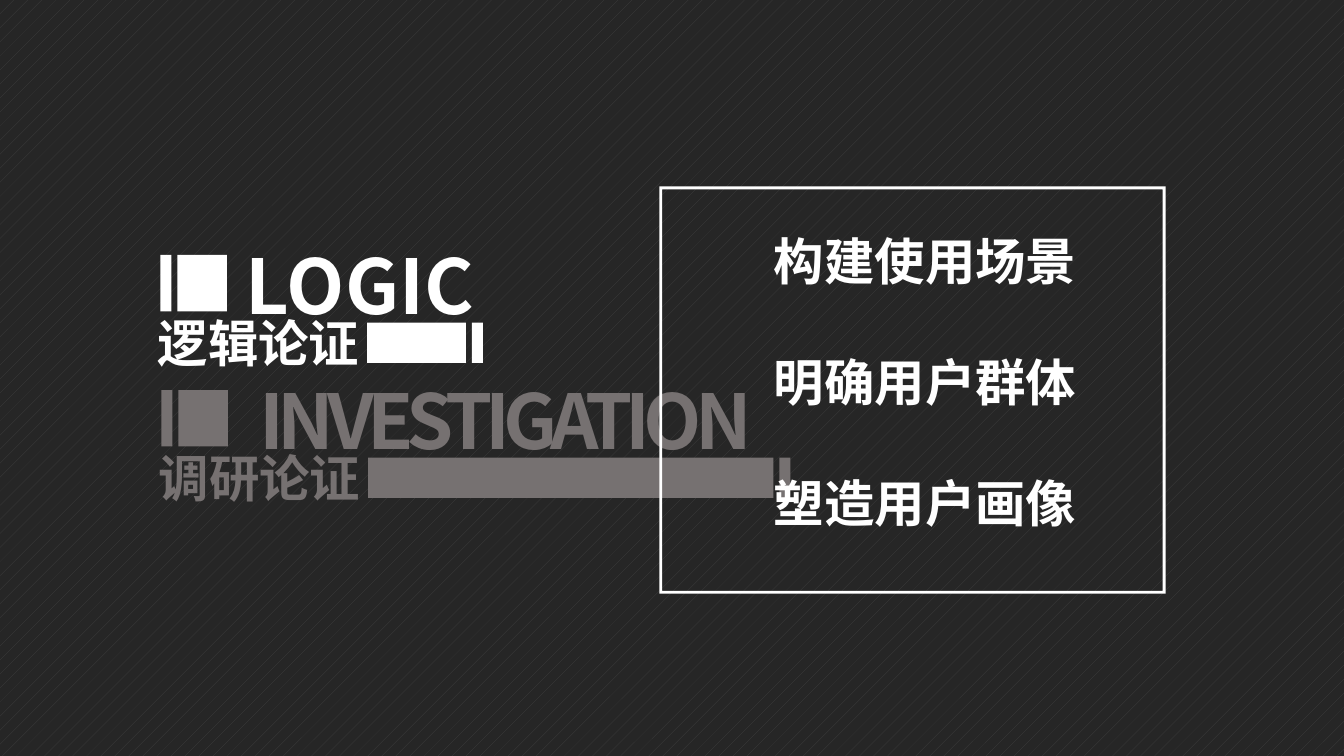
from lxml import etree
from pptx import Presentation
from pptx.dml.color import RGBColor
from pptx.enum.dml import MSO_PATTERN
from pptx.enum.shapes import MSO_SHAPE
from pptx.enum.text import PP_ALIGN
from pptx.oxml.ns import qn
from pptx.util import Inches, Pt

RECTANGLE, FRAME = MSO_SHAPE.RECTANGLE, MSO_SHAPE.FRAME
DOTS, CENTER = MSO_PATTERN.PERCENT_5, PP_ALIGN.CENTER
WHITE = RGBColor(0xFF, 0xFF, 0xFF)
GRAY = RGBColor(0x76, 0x71, 0x71)
CHARCOAL = RGBColor(0x26, 0x26, 0x26)
DARK_GRAY = RGBColor(0x40, 0x40, 0x40)
FONT = "Noto Sans CJK JP"

# Left and top of the marks, colour, title, its left, width and letter
# spacing (hundredths of a point), subtitle, width of the bar after it
HEADINGS = [
    (1.59, 2.53, WHITE, "LOGIC", 2.19, 2.76, 0, "逻辑论证", 0.98),
    (1.6, 3.87, GRAY, "INVESTIGATION", 2.09, 5.85, -500, "调研论证", 4.02),
]
STEPS = ["构建使用场景", "明确用户群体", "塑造用户画像"]
STEPS_BOX = (7.56, 2.23, 3.23, 3.13)
FRAME_BOX = (6.54, 1.85, 5.02, 4.04)
STRIPE = 0.11
LINE = Pt(43.5)


def add_block(shapes, preset, box, color):
    block = shapes.add_shape(preset, *map(Inches, box))
    block.shadow.inherit = False
    block.fill.solid()
    block.fill.fore_color.rgb = color
    block.line.fill.background()
    return block


def add_text(shapes, lines, box, size, color, wrap=True, spacing=0, gap=0):
    """Add centred bold lines, with gap before each line but the first."""
    frame = shapes.add_textbox(*map(Inches, box)).text_frame
    frame.word_wrap = wrap
    for i, line in enumerate(lines):
        paragraph = frame.paragraphs[0] if i == 0 else frame.add_paragraph()
        run = paragraph.add_run()
        run.text = line
        paragraph.alignment = CENTER
        if i:
            paragraph.space_before = gap
        font = paragraph.font
        font.name, font.size, font.bold = FONT, Pt(size), True
        font.color.rgb = color
        properties = run.font._element
        if spacing:
            properties.set("spc", str(spacing))
        etree.SubElement(properties, qn("a:ea")).set("typeface", FONT)


def add_heading(slide, left, top, color, title, title_left, title_width,
                spacing, subtitle, bar_width):
    shapes = slide.shapes.add_group_shape().shapes
    bar_left, bar_top = left + 2.05, top + 0.67
    blocks = [
        (left, top, STRIPE, 0.56),
        (left + 0.17, top, 0.49, 0.56),
        (bar_left, bar_top, bar_width, 0.4),
        (bar_left + bar_width + 0.06, bar_top, STRIPE, 0.4),
    ]
    for box in blocks:
        add_block(shapes, RECTANGLE, box, color)
    add_text(shapes, [title], (title_left, top - 0.21, title_width, 1.01),
             54, color, wrap=False, spacing=spacing)
    add_text(shapes, [subtitle], (left - 0.64, top + 0.52, 3.23, 0.71),
             36, color)


def main():
    deck = Presentation()
    deck.slide_width, deck.slide_height = Inches(13.33), Inches(7.5)
    slide = deck.slides.add_slide(deck.slide_layouts[6])
    fill = slide.background.fill
    fill.patterned()
    fill.pattern = DOTS
    fill.fore_color.rgb = DARK_GRAY
    fill.back_color.rgb = CHARCOAL

    for heading in HEADINGS:
        add_heading(slide, *heading)
    add_text(slide.shapes, STEPS, STEPS_BOX, 36, WHITE, gap=LINE)
    border = add_block(slide.shapes, FRAME, FRAME_BOX, WHITE)
    border.adjustments[0] = 0.007
    deck.save("out.pptx")


if __name__ == "__main__":
    main()
